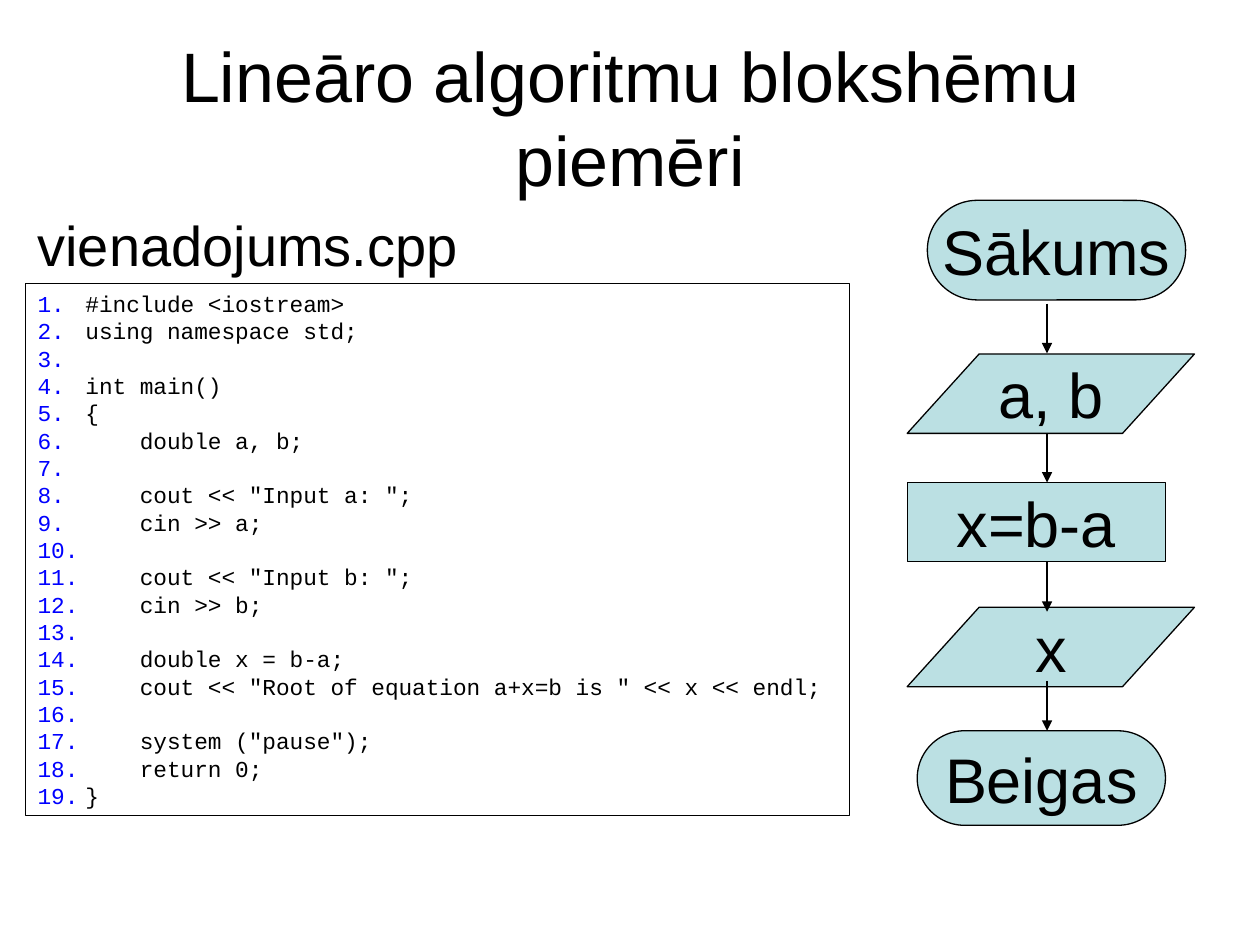
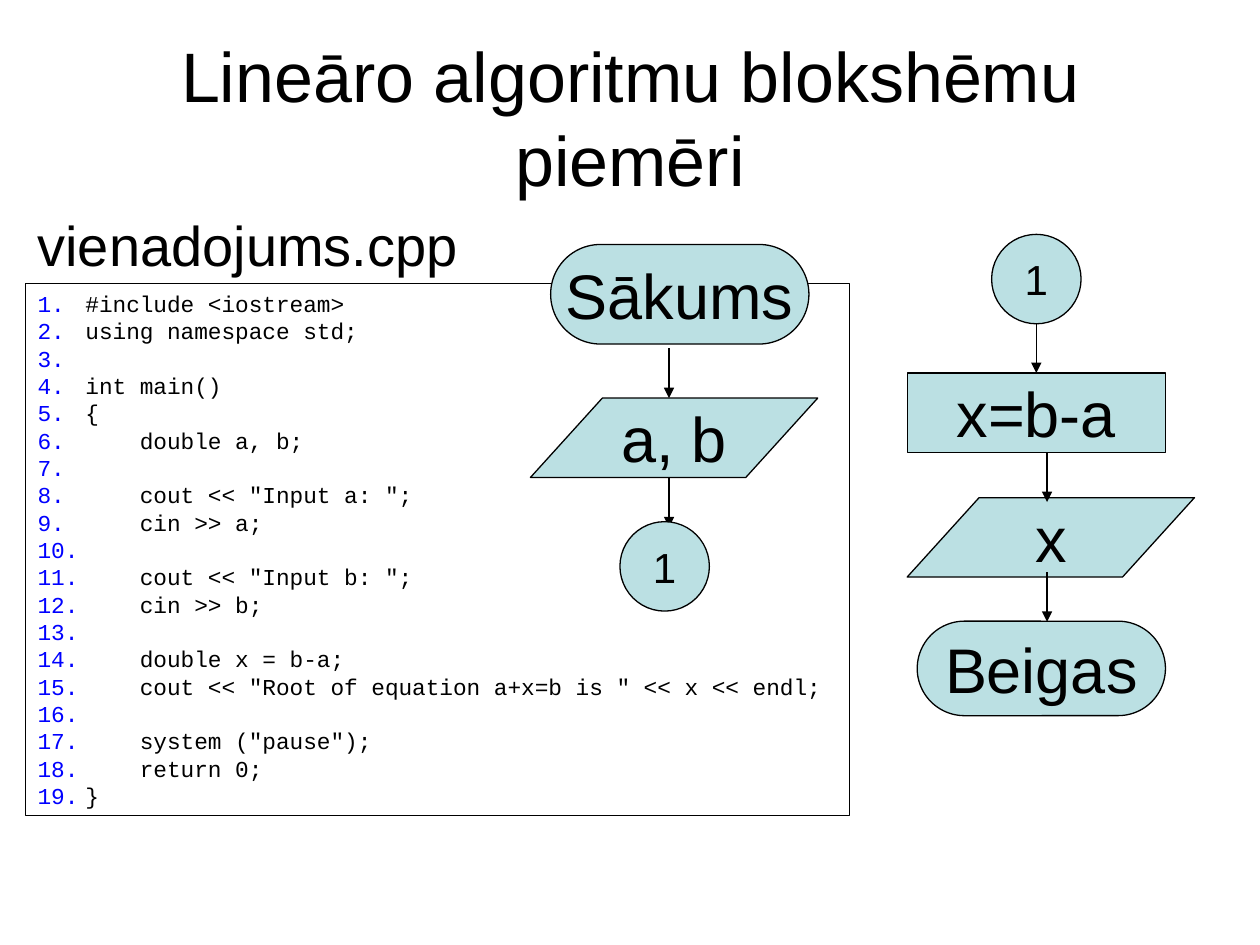
from dataclasses import dataclass
from pptx import Presentation
from pptx.dml.color import RGBColor as RGB
from pptx.enum.shapes import MSO_CONNECTOR as Line, MSO_SHAPE as Form
from pptx.enum.text import MSO_ANCHOR as Anchor, MSO_AUTO_SIZE as Fit, PP_ALIGN as Align
from pptx.oxml.ns import qn
from pptx.util import Inches, Pt
from lxml.etree import SubElement as Sub


@dataclass(frozen=True)
class Theme:
    ink: RGB = RGB(0, 0, 0)
    fill: RGB = RGB(0xBB, 0xE0, 0xE3)
    mark: str = "0000FF"
    sans: str = "Arial"
    mono: str = "Courier New"
    title: int = 40
    file: int = 32
    node: int = 36
    dot: int = 24
    code: int = 13
    line: float = 0.75


T = Theme()
WIDE, HIGH = Inches(10), Inches(7.5)
COLS, ROWS = 100, 75
REACH = 3.95  # rows that every arrow spans

# kind: form, columns, rows, adjustment, type size
KINDS = {
    "start": (Form.ROUNDED_RECTANGLE, 20.5, 7.9, 0.5, T.node),
    "end": (Form.ROUNDED_RECTANGLE, 19.7, 7.5, 0.5, T.node),
    "data": (Form.PARALLELOGRAM, 22.8, 6.3, 0.906, T.node),
    "step": (Form.RECTANGLE, 20.5, 6.3, None, T.node),
    "dot": (Form.OVAL, 7.1, 7.1, None, T.dot),
}

TITLE = "Lineāro algoritmu blokshēmu piemēri"
FILE = "vienadojums.cpp"
CODE = """#include <iostream>
using namespace std;
 
int main()
{
    double a, b;
 
    cout << "Input a: ";
    cin >> a;
 
    cout << "Input b: ";
    cin >> b;
 
    double x = b-a;
    cout << "Root of equation a+x=b is " << x << endl;
 
    system ("pause");
    return 0;
}"""


def grid(x, y, *size):
    """Turn columns and rows into slide lengths."""
    cells = (x, y, *size)
    units = (WIDE / COLS, HIGH / ROWS) * 2
    return [round(n * unit) for n, unit in zip(cells, units)]


def write(para, text, size, font=T.sans):
    run = para.add_run()
    run.text = text
    run.font.size, run.font.name = Pt(size), font
    run.font.color.rgb = T.ink


def hang(para):
    """Give a paragraph a hanging indent and return its properties."""
    props = para._p.get_or_add_pPr()
    props.set("marL", str(Inches(0.38)))
    props.set("indent", str(-Inches(0.38)))
    return props


def count(para):
    """Number a paragraph with coloured digits."""
    props = hang(para)
    Sub(Sub(props, qn("a:buClr")), qn("a:srgbClr"), val=T.mark)
    Sub(props, qn("a:buFont"), typeface=T.mono)
    Sub(props, qn("a:buAutoNum"), type="arabicPeriod")


def stroke(line):
    line.color.rgb, line.width = T.ink, Pt(T.line)


def head(slide):
    title = slide.shapes.title
    title.left, title.top, title.width, title.height = grid(5, 3, 90, 12.5)
    frame = title.text_frame
    frame.auto_size, frame.vertical_anchor = Fit.NONE, Anchor.MIDDLE
    para = frame.paragraphs[0]
    para.alignment = Align.CENTER
    write(para, TITLE, T.title)


def label(slide):
    frame = slide.shapes.add_textbox(*grid(2, 16.2, 90, 6.6)).text_frame
    frame.word_wrap = True
    para = frame.paragraphs[0]
    para.space_before = Pt(8)
    hang(para)
    write(para, FILE, T.file)


def listing(slide):
    box = slide.shapes.add_shape(Form.RECTANGLE, *grid(2, 22.5, 65.4, 42.2))
    box.shadow.inherit = False
    box.fill.background()
    stroke(box.line)
    frame = box.text_frame
    frame.word_wrap, frame.vertical_anchor = True, Anchor.TOP
    frame.auto_size = Fit.SHAPE_TO_FIT_TEXT
    for i, text in enumerate(CODE.split("\n")):
        para = frame.add_paragraph() if i else frame.paragraphs[0]
        para.alignment = Align.LEFT
        count(para)
        write(para, text, T.code, T.mono)


def node(slide, kind, text, x, y):
    form, wide, high, bend, size = KINDS[kind]
    shape = slide.shapes.add_shape(form, *grid(x, y, wide, high))
    shape.shadow.inherit = False
    if bend is not None:
        shape.adjustments[0] = bend
    shape.fill.solid()
    shape.fill.fore_color.rgb = T.fill
    stroke(shape.line)
    frame = shape.text_frame
    frame.word_wrap, frame.vertical_anchor = False, Anchor.MIDDLE
    para = frame.paragraphs[0]
    para.alignment = Align.CENTER
    write(para, text, size)
    return shape


def arrow(slide, x, y, goal=None):
    """Draw a downward arrow, joined to the top of goal if there is one."""
    link = slide.shapes.add_connector(Line.STRAIGHT, *grid(x, y, x, y + REACH))
    if goal is not None:
        link.end_connect(goal, 0)
    stroke(link.line)
    Sub(link.line._get_or_add_ln(), qn("a:tailEnd"), type="triangle")
    Sub(link._element.spPr, qn("a:effectLst"))


def page(deck):
    slide = deck.slides.add_slide(deck.slide_layouts[5])
    head(slide)
    label(slide)
    listing(slide)
    return slide


def whole(slide):
    """Show the flow chart in one column."""
    node(slide, "start", "Sākums", 73.6, 15.9)
    node(slide, "data", "a, b", 72, 28.1)
    node(slide, "step", "x=b-a", 72, 38.3)
    node(slide, "data", "x", 72, 48.2)
    node(slide, "end", "Beigas", 72.8, 58)
    for y in (24.1, 34.35, 44.6, 54.05):
        arrow(slide, 83.1, y)


def split(slide):
    """Show the flow chart in two columns that meet at a numbered dot."""
    step = node(slide, "step", "x=b-a", 72, 29.6)
    node(slide, "data", "x", 72, 39.5)
    node(slide, "end", "Beigas", 72.8, 49.3)
    for y in (35.9, 45.4):
        arrow(slide, 83.1, y)
    node(slide, "start", "Sākums", 43.7, 19.4)
    node(slide, "data", "a, b", 42.1, 31.6)
    for y in (27.65, 37.9):
        arrow(slide, 53.1, y)
    node(slide, "dot", "1", 49.2, 41.4)
    node(slide, "dot", "1", 78.7, 18.6)
    arrow(slide, 82.25, 25.7, step)


def main():
    deck = Presentation()
    deck.slide_width, deck.slide_height = WIDE, HIGH
    whole(page(deck))
    split(page(deck))
    deck.save("out.pptx")


if __name__ == "__main__":
    main()
